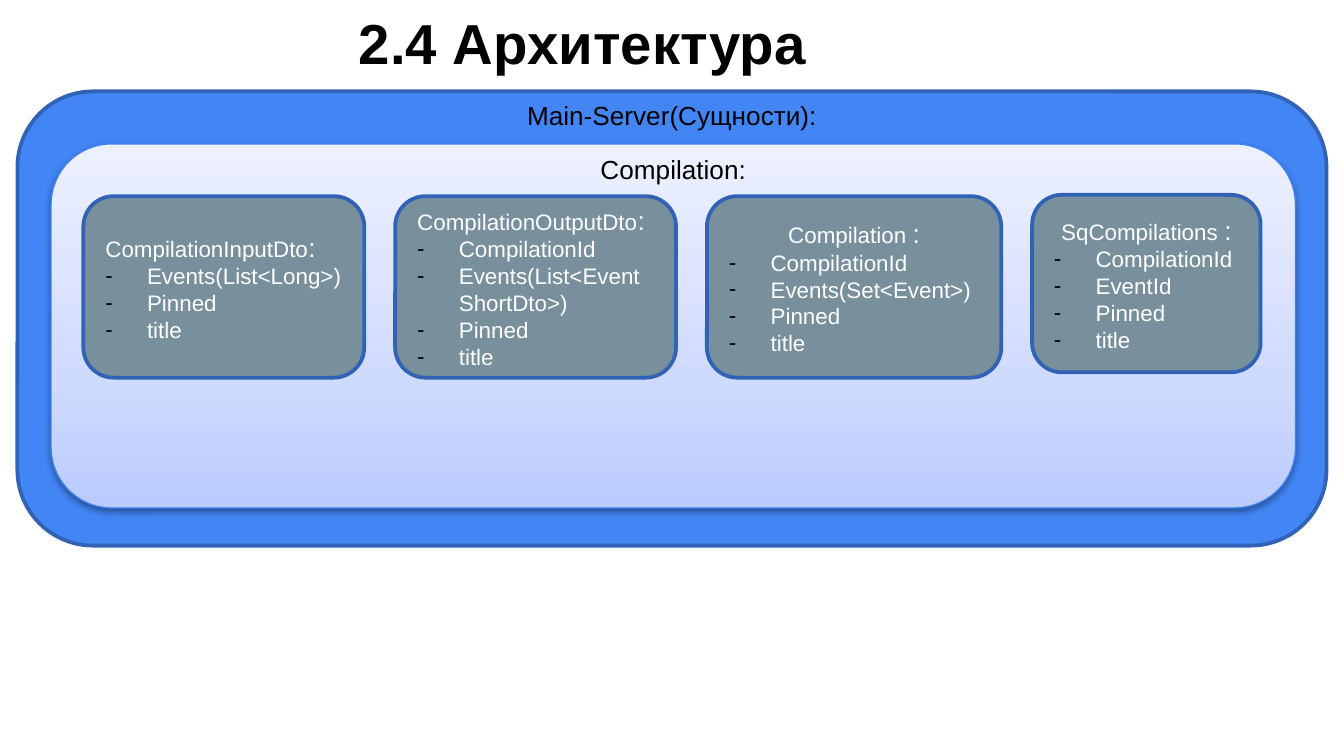
import pptx
import pptx.util
import pptx.dml.color
import pptx.enum.shapes
import pptx.enum.text
import pptx.oxml
import pptx.oxml.ns
from pptx.util import Inches

ALIGN = pptx.enum.text.PP_ALIGN
ANCHOR = pptx.enum.text.MSO_ANCHOR
NS = pptx.oxml.ns.nsdecls("a")


def rgb(value):
    return pptx.dml.color.RGBColor.from_string(value)


class Deck:
    font = "Arial"
    blue = "4285F4"
    border = "3162B5"
    gray = "78909C"
    black = "000000"
    white = "FFFFFF"

    def __init__(self, width, height):
        self.prs = pptx.Presentation()
        self.prs.slide_width = Inches(width)
        self.prs.slide_height = Inches(height)
        self.s = self.prs.slides.add_slide(self.prs.slide_layouts[5])

    def style(self, font, size, color, bold=False):
        font.name = self.font
        font.size = pptx.util.Pt(size)
        font.bold = bold
        font.color.rgb = rgb(color)

    def title(self, text, x, y, w, h):
        sp = self.s.shapes.title
        sp.left, sp.top, sp.width, sp.height = map(Inches, (x, y, w, h))
        tf = sp.text_frame
        tf.margin_left = tf.margin_right = Inches(0.1)
        tf.margin_top = tf.margin_bottom = Inches(0.1)
        tf.vertical_anchor = ANCHOR.TOP
        tf.auto_size = pptx.enum.text.MSO_AUTO_SIZE.NONE
        tf.text = text
        p = tf.paragraphs[0]
        p.alignment = ALIGN.LEFT
        self.style(p.font, 30.2, self.black, True)

    def panel(self, x, y, w, h, fill, line, weight):
        sp = self.s.shapes.add_shape(
            pptx.enum.shapes.MSO_SHAPE.ROUNDED_RECTANGLE,
            Inches(x), Inches(y), Inches(w), Inches(h))
        sp.shadow.inherit = False
        sp.fill.solid()
        sp.fill.fore_color.rgb = rgb(fill)
        sp.line.color.rgb = rgb(line)
        sp.line.width = pptx.util.Pt(weight)
        return sp

    def gradient(self, sp, stops):
        gs = "".join(f'<a:gs pos="{pos * 1000}"><a:srgbClr val="{color}"/></a:gs>'
                     for pos, color in stops)
        grad = pptx.oxml.parse_xml(
            f'<a:gradFill {NS} rotWithShape="1"><a:gsLst>{gs}</a:gsLst>'
            '<a:lin ang="16200000" scaled="0"/></a:gradFill>')
        props = sp._element.spPr
        props.replace(props.find(pptx.oxml.ns.qn("a:solidFill")), grad)

    def drop_shadow(self, sp):
        effects = sp._element.spPr.find(pptx.oxml.ns.qn("a:effectLst"))
        effects.append(pptx.oxml.parse_xml(
            f'<a:outerShdw {NS} blurRad="{pptx.util.Pt(3.1)}" dist="{pptx.util.Pt(1.6)}" '
            'dir="5400000" rotWithShape="0"><a:srgbClr val="000000">'
            '<a:alpha val="38000"/></a:srgbClr></a:outerShdw>'))

    def label(self, text, x, y, w, h):
        tf = self.s.shapes.add_textbox(Inches(x), Inches(y), Inches(w), Inches(h)).text_frame
        tf.word_wrap = True
        tf.margin_top = tf.margin_bottom = 0
        tf.vertical_anchor = ANCHOR.MIDDLE
        p = tf.paragraphs[0]
        p.text = text
        p.alignment = ALIGN.CENTER
        self.style(p.font, 14, self.black)

    def bullet(self, p):
        props = p._p.get_or_add_pPr()
        props.set("marL", str(Inches(0.31)))
        props.set("indent", str(-Inches(0.31)))
        for xml in (f'<a:buClr {NS}><a:srgbClr val="{self.black}"/></a:buClr>',
                    f'<a:buFont {NS} typeface="{self.font}"/>',
                    f'<a:buChar {NS} char="-"/>'):
            props.append(pptx.oxml.parse_xml(xml))

    def entity(self, name, fields, align, x, y, w, h):
        tf = self.panel(x, y, w, h, self.gray, self.border, 2).text_frame
        tf.word_wrap = True
        tf.vertical_anchor = ANCHOR.MIDDLE
        p = tf.paragraphs[0]
        p.alignment = align
        for text, size in ((name, 12), (":", 14)):
            r = p.add_run()
            r.text = text
            self.style(r.font, size, self.white)
        for field in fields:
            p = tf.add_paragraph()
            p.text = field
            p.alignment = ALIGN.JUSTIFY
            self.bullet(p)
            self.style(p.font, 12, self.white)


def main():
    deck = Deck(10, 10 * 9 / 16)
    deck.title("2.4 Архитектура", 2.57, -0.04, 3.81, 0.63)
    deck.panel(0.13, 0.68, 9.74, 3.38, deck.blue, deck.border, 2)
    deck.label("Main-Server(Сущности):", 0.13, 0.71, 9.74, 0.3)
    compilation = deck.panel(0.38, 1.07, 9.26, 2.71, deck.white, "3C81F3", 0.75)
    deck.gradient(compilation, [(0, "BBCBFF"), (35, "CFDAFF"), (100, "EDF1FF")])
    deck.drop_shadow(compilation)
    deck.label("Compilation:", 0.38, 1.11, 9.26, 0.3)

    entities = [
        ("CompilationInputDto", ["Events(List<Long>)"],
         ALIGN.JUSTIFY, 0.62, 1.46, 2.09, 1.35),
        ("Compilation ", ["CompilationId", "Events(Set<Event>)"],
         ALIGN.CENTER, 5.26, 1.46, 2.19, 1.35),
        ("SqCompilations ", ["CompilationId", "EventId"],
         ALIGN.CENTER, 7.68, 1.45, 1.7, 1.32),
        ("CompilationOutputDto", ["CompilationId", "Events(List<EventShortDto>)"],
         ALIGN.JUSTIFY, 2.94, 1.46, 2.09, 1.35),
    ]
    for name, fields, align, *box in entities:
        deck.entity(name, fields + ["Pinned", "title"], align, *box)
    deck.prs.save("out.pptx")


if __name__ == "__main__":
    main()
